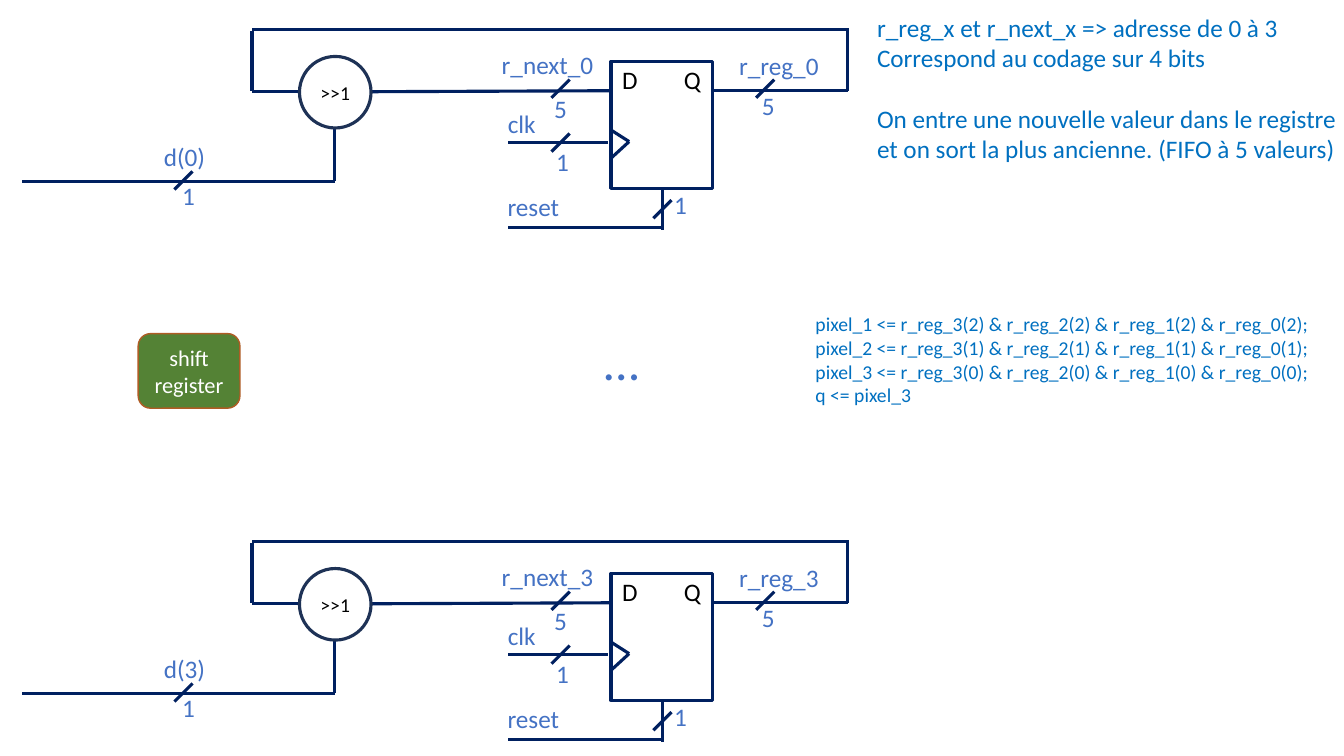
from lxml import etree
from pptx import Presentation
from pptx import util as u
from pptx.dml.color import RGBColor
from pptx.enum import shapes, text
from pptx.oxml import ns

COLORS = {
    "wire": "002060", "circle": "1E3256", "label": "4472C4", "note": "0070C0",
    "green": "548235", "rust": "AF5C24", "white": "FFFFFF", "black": "000000",
}
CELL = 0.1  # grid pitch in inches: positions below are columns and rows
STAGE_PITCH = 50.8  # rows between the two register stages
PIN_TAB = 7.8  # columns from the text edge to the right pin name


def rgb(name):
    return RGBColor.from_string(COLORS[name])


def grid(cells):
    return u.Inches(cells * CELL)


class Diagram:
    font_name = "Calibri"
    wire_width = 2.25
    label_size = 18

    def __init__(self, slide):
        self.slide = slide

    def set_lines(self, shape, lines, size, color, align, gaps=None):
        """Fill a shape with lines; gaps maps a line index to space before."""
        frame = shape.text_frame
        for index, line in enumerate(lines):
            paragraph = frame.paragraphs[0] if index == 0 else frame.add_paragraph()
            paragraph.text = line
            paragraph.alignment = align
            if gaps and index in gaps:
                paragraph.space_before = u.Pt(gaps[index])
            if "\t" in line:
                properties = paragraph._p.get_or_add_pPr()
                tabs = etree.SubElement(properties, ns.qn("a:tabLst"))
                etree.SubElement(tabs, ns.qn("a:tab"), pos=str(grid(PIN_TAB)), algn="r")
            font = paragraph.font
            font.name, font.size = self.font_name, u.Pt(size)
            font.color.rgb = rgb(color)

    def wire(self, start, end):
        line = self.slide.shapes.add_connector(
            shapes.MSO_CONNECTOR.STRAIGHT, *map(grid, (*start, *end)))
        line.line.color.rgb = rgb("wire")
        line.line.width = u.Pt(self.wire_width)
        etree.SubElement(line._element.spPr, ns.qn("a:effectLst"))

    def slash(self, column, row):
        """Bus-width mark centred on a wire."""
        self.wire((column - 0.9, row + 0.9), (column + 0.9, row - 0.9))

    def box(self, kind, area, fill, line, lines, size, color,
            width=wire_width, align=text.PP_ALIGN.CENTER):
        shape = self.slide.shapes.add_shape(kind, *map(grid, area))
        shape.shadow.inherit = False
        if fill:
            shape.fill.solid()
            shape.fill.fore_color.rgb = rgb(fill)
        else:
            shape.fill.background()
        shape.line.color.rgb = rgb(line)
        shape.line.width = u.Pt(width)
        shape.text_frame.vertical_anchor = text.MSO_ANCHOR.MIDDLE
        self.set_lines(shape, lines, size, color, align)
        return shape

    def label(self, area, lines, size=label_size, color="label",
              align=text.PP_ALIGN.CENTER, wrap=True, gaps=None):
        shape = self.slide.shapes.add_textbox(*map(grid, area))
        shape.text_frame.word_wrap = wrap
        shape.text_frame.auto_size = text.MSO_AUTO_SIZE.SHAPE_TO_FIT_TEXT
        self.set_lines(shape, lines, size, color, align, gaps)

    def stage(self, number, top):
        """One shift stage: flip-flop, shifter, feedback loop and inputs."""
        # Flip-flop with its two pin names
        register = self.box(
            shapes.MSO_SHAPE.RECTANGLE, (60.6, top + 6.1, 10.1, 12.6), "white", "wire",
            ["D\tQ"], 18, "black", align=text.PP_ALIGN.LEFT)
        frame = register.text_frame
        frame.vertical_anchor = text.MSO_ANCHOR.TOP
        frame.margin_left, frame.margin_top, frame.margin_right = map(grid, (1.1, 0.3, 0.5))

        # Wires: clock notch, clock, reset, data path, feedback loop, input
        for x1, y1, x2, y2 in [
            (60.6, 12.9, 62.4, 14.05), (62.4, 14.05, 60.6, 15.7),
            (50.4, 14.1, 60.3, 14.1),
            (65.7, 22.8, 65.7, 18.6), (65.7, 22.6, 50.4, 22.6),
            (60.6, 9, 36.8, 9.1), (84.1, 9, 70.7, 9),
            (84.1, 9, 84.1, 3.1), (84.2, 2.9, 25, 2.9),
            (25, 9, 25, 3.1), (29.7, 9.1, 25, 9.1),
            (33.2, 18, 2.2, 18), (33.2, 18, 33.2, 12.8),
        ]:
            self.wire((x1, top + y1), (x2, top + y2))

        # Bus-width marks
        for column, row in [(55.6, 14.15), (65.7, 20.75), (55.6, 8.8), (75.9, 8.8), (18.2, 17.9)]:
            self.slash(column, top + row)

        # Shifter
        shifter = self.box(
            shapes.MSO_SHAPE.OVAL, (29.7, top + 5.6, 7.1, 7.1), None, "circle",
            [">>1"], 14, "black")
        shifter.text_frame.margin_left = shifter.text_frame.margin_right = 0

        # Signal names and bus widths
        for column, row, width, name in [
            (47.9, 18.5, 10, "reset"), (48.4, 10.3, 6.7, "clk"),
            (65.1, 18.3, 4.8, "1"), (53.4, 14, 4.8, "1"),
            (53.2, 8.8, 4.8, "5"), (48.3, 4.4, 12, f"r_next_{number}"),
            (70.4, 4.5, 13.7, f"r_reg_{number}"), (73.8, 8.5, 4.8, "5"),
            (16.3, 17.4, 4.8, "1"), (15.1, 13.5, 6.4, f"d({number})"),
        ]:
            self.label((column, top + row, width, 4), [name])


def main():
    presentation = Presentation()
    presentation.slide_width, presentation.slide_height = u.Inches(13.33), u.Inches(7.5)
    diagram = Diagram(presentation.slides.add_slide(presentation.slide_layouts[6]))

    # Block name
    diagram.box(shapes.MSO_SHAPE.ROUNDED_RECTANGLE, (13.7, 33.1, 10.1, 7.4),
                "green", "rust", ["shift", "register"], 16, "white", width=1)

    # First and last stages, with the omitted ones between
    for position, number in enumerate((0, 3)):
        diagram.stage(number, position * STAGE_PITCH)
    diagram.label((54.8, 32.3, 13.7, 7.1), ["…"], size=36)

    # Pixel equations
    equations = []
    for pixel in (1, 2, 3):
        taps = " & ".join(f"r_reg_{register}({3 - pixel})" for register in (3, 2, 1, 0))
        equations.append(f"pixel_{pixel} <= {taps};")
    diagram.label((79.9, 30.5, 51.4, 10.4), equations + ["q <= pixel_3"], 14, "note",
                  text.PP_ALIGN.LEFT, wrap=False)

    # Explanation
    diagram.label((86, 0.7, 48.1, 16.2), [
        "r_reg_x et r_next_x => adresse de 0 à 3",
        "Correspond au codage sur 4 bits",
        "On entre une nouvelle valeur dans le registre",
        "et on sort la plus ancienne. (FIFO à 5 valeurs)",
    ], 18, "note", text.PP_ALIGN.LEFT, wrap=False, gaps={2: 22})

    presentation.save("out.pptx")


if __name__ == "__main__":
    main()
